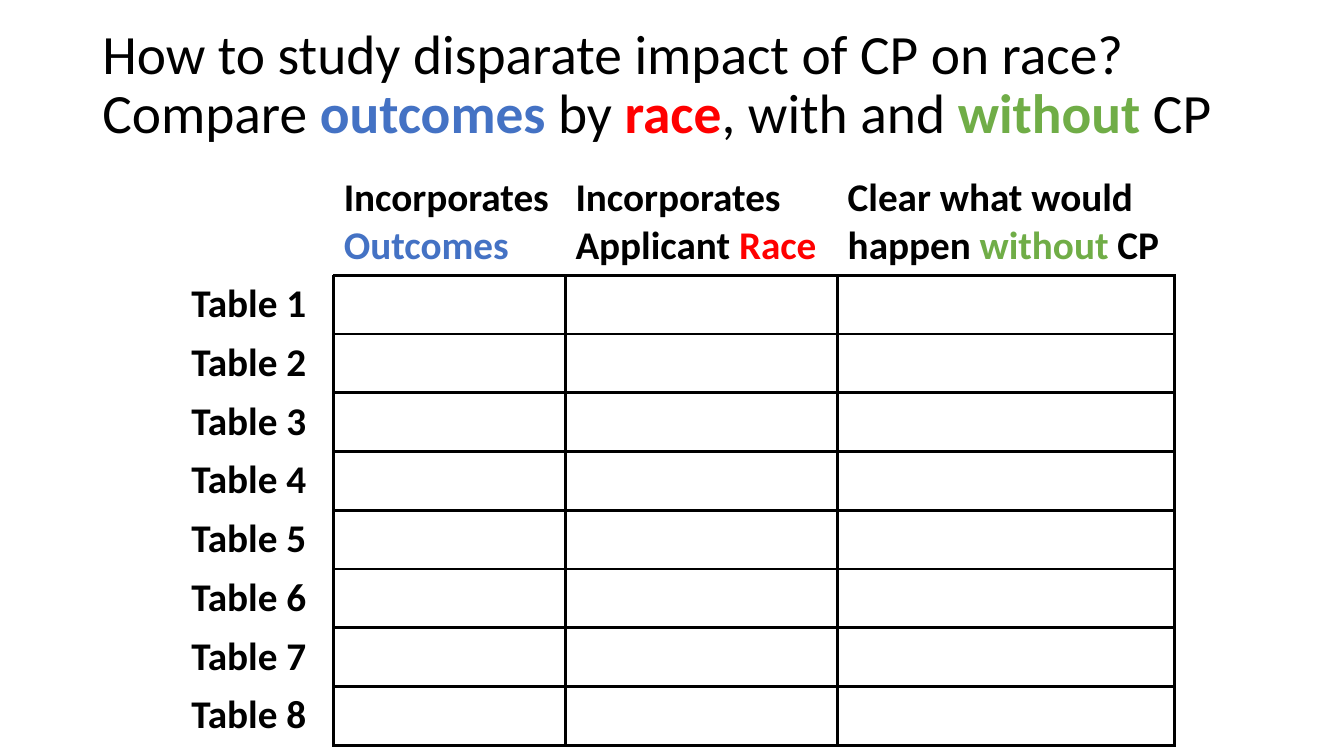
from dataclasses import dataclass

from lxml.etree import SubElement
from pptx import Presentation
from pptx.dml.color import RGBColor
from pptx.enum.text import MSO_ANCHOR
from pptx.oxml.ns import qn
from pptx.util import Cm, Pt

BLACK = RGBColor(0x00, 0x00, 0x00)
WHITE = RGBColor(0xFF, 0xFF, 0xFF)
BLUE = RGBColor(0x44, 0x72, 0xC4)
RED = RGBColor(0xFF, 0x00, 0x00)
GREEN = RGBColor(0x70, 0xAD, 0x47)

FONT = "Calibri"
TITLE_SIZE = 39.6
TABLE_SIZE = 28


@dataclass(frozen=True)
class Span:
    text: str
    color: RGBColor = BLACK
    bold: bool = False


@dataclass(frozen=True)
class Edge:
    color: RGBColor
    width: float


GRID = Edge(BLACK, 2.25)
CLEAR = Edge(WHITE, 1)

TITLE = [
    [Span("How to study disparate impact of CP on race?")],
    [
        Span("Compare "),
        Span("outcomes", BLUE, True),
        Span(" by "),
        Span("race", RED, True),
        Span(", with and "),
        Span("without", GREEN, True),
        Span(" CP"),
    ],
]
HEADERS = [
    [],
    [Span("Incorporates ", bold=True), Span("Outcomes", BLUE, True)],
    [Span("Incorporates Applicant ", bold=True), Span("Race", RED, True)],
    [
        Span("Clear what would happen ", bold=True),
        Span("without", GREEN, True),
        Span(" CP", bold=True),
    ],
]
LABELS = [[Span(f"Table {number}", bold=True)] for number in range(1, 9)]
COLUMN_WIDTHS = [3.84, 5.84, 6.86, 8.48]
ROW_HEIGHTS = [2.66] + [1.48] * len(LABELS)


def add_spans(para, spans: list[Span], size: float) -> None:
    for span in spans:
        run = para.add_run()
        run.text = span.text
        run.font.name = FONT
        run.font.size = Pt(size)
        run.font.bold = span.bold
        run.font.color.rgb = span.color


def add_title(page) -> None:
    box = page.shapes.add_textbox(Cm(2.33), Cm(0.33), Cm(29.21), Cm(3.68))
    frame = box.text_frame
    frame.word_wrap = True
    frame.vertical_anchor = MSO_ANCHOR.MIDDLE
    for index, spans in enumerate(TITLE):
        para = frame.add_paragraph() if index else frame.paragraphs[0]
        para.line_spacing = 0.9
        add_spans(para, spans, TITLE_SIZE)


def set_borders(cell, row: int, column: int) -> None:
    inside = row > 0 and column > 0
    edges = {
        "a:lnL": GRID if inside else CLEAR,
        "a:lnR": GRID if row > 0 else CLEAR,
        "a:lnT": GRID if inside else CLEAR,
        "a:lnB": GRID if column > 0 else CLEAR,
    }
    properties = cell._tc.get_or_add_tcPr()
    for tag, edge in edges.items():
        line = SubElement(properties, qn(tag), w=str(Pt(edge.width)))
        fill = SubElement(line, qn("a:solidFill"))
        SubElement(fill, qn("a:srgbClr"), val=str(edge.color))


def add_checklist(page) -> None:
    frame = page.shapes.add_table(
        len(ROW_HEIGHTS), len(COLUMN_WIDTHS), Cm(4.57), Cm(4.27),
        Cm(sum(COLUMN_WIDTHS)), Cm(sum(ROW_HEIGHTS)),
    )
    table = frame.table
    table.first_row = False
    table.horz_banding = False
    for column, width in zip(table.columns, COLUMN_WIDTHS):
        column.width = Cm(width)
    for row, height in zip(table.rows, ROW_HEIGHTS):
        row.height = Cm(height)

    blanks = [[]] * (len(COLUMN_WIDTHS) - 1)
    contents = [HEADERS] + [[label, *blanks] for label in LABELS]
    for row, cells in enumerate(contents):
        for column, spans in enumerate(cells):
            cell = table.cell(row, column)
            set_borders(cell, row, column)
            cell.fill.background()
            add_spans(cell.text_frame.paragraphs[0], spans, TABLE_SIZE)


def main() -> None:
    deck = Presentation()
    deck.slide_width = Cm(33.87)
    deck.slide_height = Cm(19.05)
    page = deck.slides.add_slide(deck.slide_layouts[6])
    add_checklist(page)
    add_title(page)
    deck.save("out.pptx")


if __name__ == "__main__":
    main()
